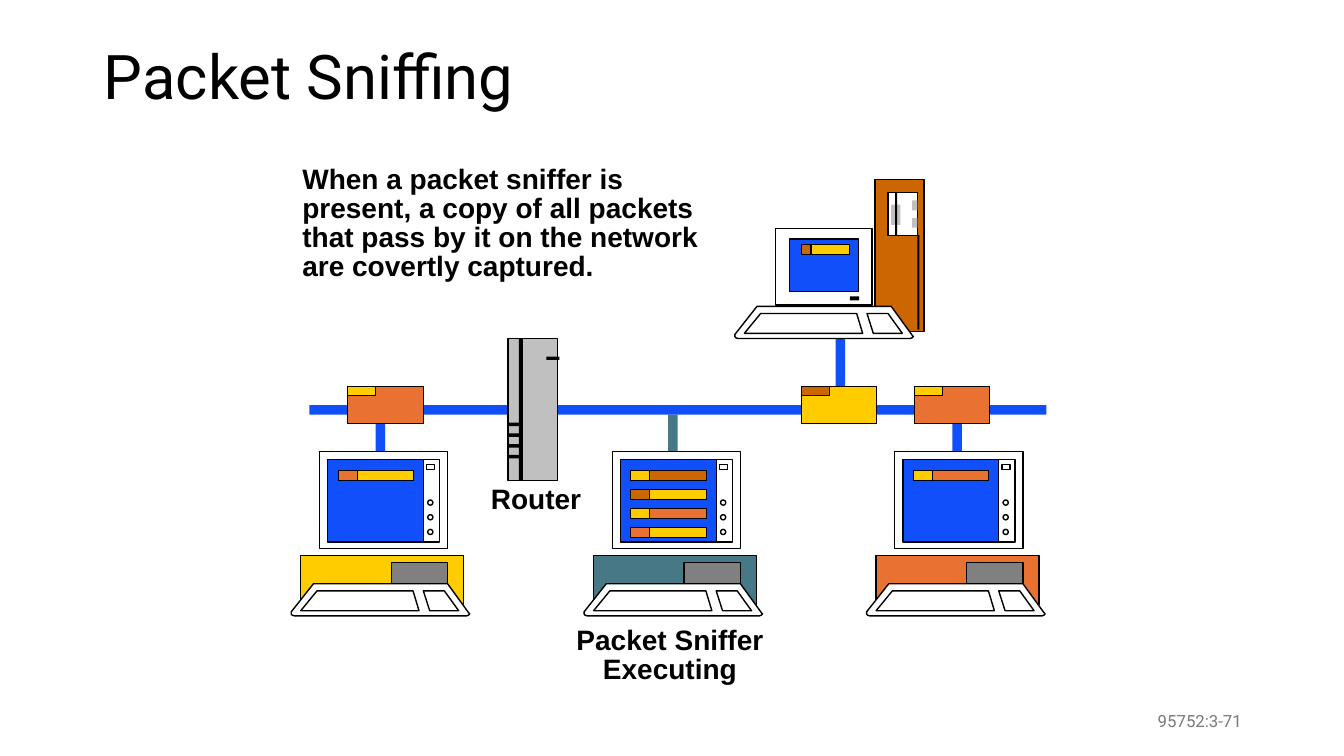
import pptx
import pptx.dml.color
import pptx.enum.shapes
import pptx.enum.text
import pptx.util

Cm = pptx.util.Cm
Pt = pptx.util.Pt
RGBColor = pptx.dml.color.RGBColor
Shape = pptx.enum.shapes.MSO_SHAPE
Align = pptx.enum.text.PP_ALIGN
Anchor = pptx.enum.text.MSO_ANCHOR
AutoSize = pptx.enum.text.MSO_AUTO_SIZE

BLACK = RGBColor(0x00, 0x00, 0x00)
WHITE = RGBColor(0xFF, 0xFF, 0xFF)
BLUE = RGBColor(0x11, 0x4F, 0xFB)
TEAL = RGBColor(0x46, 0x78, 0x86)
YELLOW = RGBColor(0xFF, 0xCC, 0x00)
ORANGE = RGBColor(0xE9, 0x71, 0x32)
BROWN = RGBColor(0xCC, 0x66, 0x00)
SILVER = RGBColor(0xC0, 0xC0, 0xC0)
GRAY = RGBColor(0x80, 0x80, 0x80)
FOOTER_GRAY = RGBColor(0x79, 0x79, 0x79)

BAR = 0.24
KEYBOARD_PARTS = (
    ((0.56, 0), (3.94, 0), (4.47, 0.73), (4.5, 0.76), (4.47, 0.79), (4.42, 0.81),
     (0.08, 0.81), (0.02, 0.79), (0, 0.76), (0, 0.71)),
    ((0.65, 0.18), (3.07, 0.18), (3.22, 0.68), (0.24, 0.68)),
    ((3.33, 0.18), (3.86, 0.18), (4.22, 0.68), (3.49, 0.68)),
)


def paint(shape, fill, line_width):
    shape.shadow.inherit = False
    shape.fill.solid()
    shape.fill.fore_color.rgb = fill
    if line_width:
        shape.line.color.rgb = BLACK
        shape.line.width = Pt(line_width)
    else:
        shape.line.fill.background()


def add_block(slide, left, top, width, height, fill, line_width=0, kind=Shape.RECTANGLE):
    shape = slide.shapes.add_shape(kind, Cm(left), Cm(top), Cm(width), Cm(height))
    paint(shape, fill, line_width)


def write_text(frame, text, size=20, font="Arial", color=BLACK, bold=True,
               align=Align.LEFT, anchor=Anchor.TOP, spacing=0.86, wrap=True,
               auto_size=AutoSize.SHAPE_TO_FIT_TEXT, insets=(0.28, 0.15)):
    frame.word_wrap = wrap
    frame.auto_size = auto_size
    frame.vertical_anchor = anchor
    frame.margin_left = frame.margin_right = Cm(insets[0])
    frame.margin_top = frame.margin_bottom = Cm(insets[1])
    frame.text = text
    for paragraph in frame.paragraphs:
        paragraph.alignment = align
        paragraph.line_spacing = spacing
        paragraph.space_before = Pt(0)
        paragraph.font.size = Pt(size)
        paragraph.font.name = font
        paragraph.font.bold = bold
        paragraph.font.color.rgb = color


def add_text(slide, left, top, width, height, text, **text_format):
    box = slide.shapes.add_textbox(Cm(left), Cm(top), Cm(width), Cm(height))
    write_text(box.text_frame, text, **text_format)


def add_title(slide, left, top, width, height, text):
    title = slide.shapes.title
    title.left, title.top, title.width, title.height = map(Cm, (left, top, width, height))
    write_text(title.text_frame, text, size=44, font="Roboto", bold=False,
               spacing=0.9, auto_size=AutoSize.NONE)


def add_keyboard(slide, left, top):
    for points in KEYBOARD_PARTS:
        corners = [(Cm(left + x), Cm(top + y)) for x, y in points]
        builder = slide.shapes.build_freeform(*corners[0])
        builder.add_line_segments(corners[1:], close=True)
        paint(builder.convert_to_shape(), WHITE, 1)


def add_captured_packet(slide, left, top, header_width, body_width, header, body):
    add_block(slide, left, top, header_width, BAR, header, 0.75)
    add_block(slide, left + header_width, top, body_width, BAR, body, 0.75)


def add_network_packet(slide, left, top, body, tab):
    add_block(slide, left, top, 1.91, 0.94, body, 0.75)
    add_block(slide, left, top, 0.71, BAR, tab, 0.75)


def add_workstation(slide, left, top, case, packets):
    add_block(slide, left + 0.24, top + 2.62, 4.11, 1.24, case, 1)
    add_block(slide, left + 2.52, top + 2.79, 1.42, 0.58, GRAY, 1)
    add_keyboard(slide, left, top + 3.33)
    add_block(slide, left + 0.71, top, 3.23, 2.44, WHITE, 1)
    add_block(slide, left + 0.92, top + 0.2, 2.79, 2.08, BLUE, 1)
    add_block(slide, left + 3.33, top + 0.2, 0.41, 2.08, WHITE, 1)
    add_block(slide, left + 3.41, top + 0.33, 0.2, 0.13, WHITE, 1)
    for knob in range(3):
        add_block(slide, left + 3.44, top + 1.22 + 0.37 * knob, 0.13, 0.13, WHITE, 1, Shape.OVAL)
    for row, (header, body) in enumerate(packets):
        add_captured_packet(slide, left + 1.18, top + 0.48 * (row + 1), 0.48, 1.42, header, body)


def add_server(slide, left, top):
    add_block(slide, left + 3.53, top, 1.24, 3.84, BROWN, 1)
    add_block(slide, left + 3.86, top + 0.33, 0.74, 1.09, WHITE, 1)
    add_block(slide, left + 4.6, top + 1.4, 0.05, 2.39, BLACK)
    add_block(slide, left + 3.94, top + 0.64, 0.23, 0.51, SILVER)
    add_block(slide, left + 4.04, top + 0.33, 0.05, 1.09, BLACK)
    for vent_top in (0.53, 0.97):
        add_block(slide, left + 4.47, top + vent_top, 0.13, 0.25, SILVER)
    add_keyboard(slide, left, top + 3.2)
    add_block(slide, left + 1.02, top + 1.24, 2.44, 1.93, WHITE, 1)
    add_block(slide, left + 1.37, top + 1.5, 1.75, 1.32, BLUE, 1)
    add_block(slide, left + 2.9, top + 2.95, 0.23, 0.1, BLACK)
    add_captured_packet(slide, left + 1.68, top + 1.65, 0.24, 0.97, BROWN, YELLOW)


def add_router(slide, left, top):
    add_block(slide, left, top, 1.25, 3.58, SILVER, 1)
    add_block(slide, left + 0.28, top, 0.1, 3.58, BLACK)
    for slot in range(4):
        add_block(slide, left, top + 2.12 + 0.27 * slot, 0.28, 0.09, BLACK)
    add_block(slide, left + 0.97, top + 0.46, 0.33, 0.08, BLACK)
    add_text(slide, left - 0.71, top + 3.58, 2.87, 1.02, "Router", wrap=False)


def add_cabling(slide, left, top):
    add_block(slide, left + 9.04, top + BAR, BAR, 0.94, TEAL)
    for link_left in (1.67, 16.2):
        add_block(slide, left + link_left, top, BAR, 1.18, BLUE)
    add_block(slide, left + 13.26, top - 1.9, BAR, 1.9, BLUE)
    add_block(slide, left, top, 18.57, BAR, BLUE)


def add_network(slide, left, top):
    add_cabling(slide, left + 0.46, top + 5.69)
    add_server(slide, left + 11.18, top)
    sniffed = ((YELLOW, BROWN), (BROWN, YELLOW), (YELLOW, ORANGE), (ORANGE, YELLOW))
    workstations = (
        (0, YELLOW, sniffed[3:]),
        (7.38, TEAL, sniffed),
        (14.5, ORANGE, sniffed[2:3]),
    )
    for offset, case, packets in workstations:
        add_workstation(slide, left + offset, top + 6.86, case, packets)
    for offset, body, tab in ((1.42, ORANGE, YELLOW), (12.85, YELLOW, BROWN), (15.7, ORANGE, YELLOW)):
        add_network_packet(slide, left + offset, top + 5.21, body, tab)
    add_router(slide, left + 5.46, top + 4.01)
    add_text(slide, left + 6.88, top + 11.15, 5.33, 1.75, "Packet Sniffer\nExecuting",
             align=Align.CENTER, wrap=False)


def main():
    presentation = pptx.Presentation()
    presentation.slide_width = Cm(33.87)
    presentation.slide_height = Cm(19.05)
    slide = presentation.slides.add_slide(presentation.slide_layouts[5])
    add_title(slide, 2.34, 1.02, 29.21, 3.68, "Packet Sniffing")
    add_text(slide, 7.34, 4.04, 11.48, 3.23,
             "When a packet sniffer is present, a copy of all packets "
             "that pass by it on the network are covertly captured.")
    add_network(slide, 7.34, 4.52)
    add_text(slide, 23.93, 17.65, 7.62, 1.02, "95752:3-71", size=12, font="Roboto",
             color=FOOTER_GRAY, bold=False, align=Align.RIGHT, anchor=Anchor.MIDDLE,
             spacing=1.0, auto_size=AutoSize.NONE, insets=(0.25, 0.13))
    presentation.save("out.pptx")


if __name__ == "__main__":
    main()
